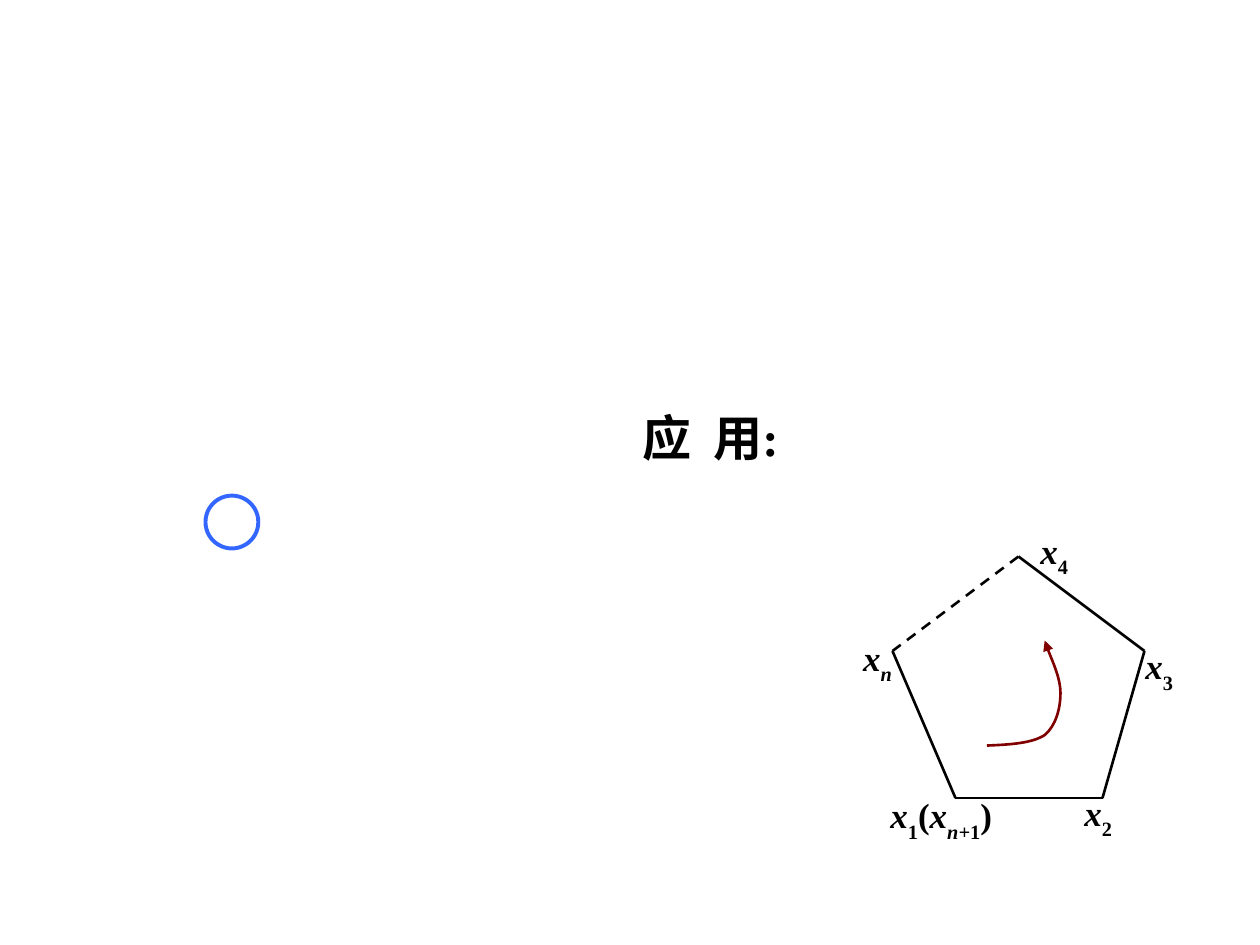
import dataclasses

import pptx
import pptx.dml.color
import pptx.enum.dml
import pptx.enum.shapes
import pptx.enum.text
import pptx.oxml
import pptx.oxml.ns
import pptx.util

Pt = pptx.util.Pt


@dataclasses.dataclass(frozen=True)
class Theme:
    font: str = "Times New Roman"
    ink: str = "000000"
    circle: str = "3366FF"
    arrow: str = "800000"
    heading_size: float = 28
    label_size: float = 20
    edge_width: float = 1.5
    circle_width: float = 2.25


THEME = Theme()

# Polygon corners, in points
X1, X2, X3, X4, XN = (546, 456), (630, 456), (654, 372), (582, 318), (510, 372)

# Start of the direction arrow, then three points for each Bezier piece
ARROW_CURVE = [
    (564, 426),
    (576.7, 425.5), (589.7, 424.8), (597, 420),
    (603.4, 414.7), (606, 404.6), (606, 396),
    (606, 387.4), (598.3, 370.8), (597, 366),
]

# Label runs: text, italic, subscript
X = ("x", True, False)
LABELS = [
    ((499.8, 450, 76, 36), [X, ("1", False, True), ("(", False, False), X,
                            ("n+", True, True), ("1", False, True),
                            (")", False, False)]),
    ((612.4, 448.6, 30.2, 36), [X, ("2", False, True)]),
    ((647.3, 365, 30.2, 36), [X, ("3", False, True)]),
    ((587.3, 298.8, 30.2, 36), [X, ("4", False, True)]),
    ((486, 360, 31, 36), [X, ("n", True, True)]),
]


def style_line(line, color, width):
    line.color.rgb = pptx.dml.color.RGBColor.from_string(color)
    line.width = Pt(width)


def add_text(page, place, runs, *, size, align=None, wrap=False, before=None):
    box = page.shapes.add_textbox(*map(Pt, place))
    frame = box.text_frame
    frame.word_wrap = wrap
    frame.auto_size = pptx.enum.text.MSO_AUTO_SIZE.SHAPE_TO_FIT_TEXT
    para = frame.paragraphs[0]
    para.alignment = align
    if before is not None:
        para.space_before = Pt(before)
    for text, italic, subscript in runs:
        span = para.add_run()
        span.text = text
        font = span.font
        font.name, font.size = THEME.font, Pt(size)
        font.bold, font.italic = True, italic
        font.color.rgb = pptx.dml.color.RGBColor.from_string(THEME.ink)
        if subscript:
            span._r.get_or_add_rPr().set("baseline", "-30000")


def add_circle(page, left, top, size):
    circle = page.shapes.add_shape(pptx.enum.shapes.MSO_SHAPE.OVAL,
                                   Pt(left), Pt(top), Pt(size), Pt(size))
    circle.shadow.inherit = False
    circle.fill.background()
    style_line(circle.line, THEME.circle, THEME.circle_width)


def add_edge(group, start, end, dashed=False):
    edge = group.shapes.add_connector(pptx.enum.shapes.MSO_CONNECTOR.STRAIGHT,
                                      *map(Pt, start + end))
    style_line(edge.line, THEME.ink, THEME.edge_width)
    if dashed:
        edge.line.dash_style = pptx.enum.dml.MSO_LINE.DASH
    edge._element.spPr.append(pptx.oxml.parse_xml(
        f"<a:effectLst {pptx.oxml.ns.nsdecls('a')}/>"))


def add_curved_arrow(page, points):
    points = [(Pt(x), Pt(y)) for x, y in points]
    builder = page.shapes.build_freeform(*points[0])
    builder.add_line_segments(points[1:], close=False)
    arrow = builder.convert_to_shape()
    arrow.shadow.inherit = False
    arrow.fill.background()
    style_line(arrow.line, THEME.arrow, THEME.edge_width)

    # Join each three straight segments into one cubic Bezier piece
    qn = pptx.oxml.ns.qn
    segments = list(arrow._element.iter(qn("a:lnTo")))
    for first, second, third in zip(*[iter(segments)] * 3):
        first.tag = qn("a:cubicBezTo")
        for extra in (second, third):
            first.append(extra[0])
            extra.getparent().remove(extra)
    arrow.line._get_or_add_ln().append(pptx.oxml.parse_xml(
        f"<a:tailEnd {pptx.oxml.ns.nsdecls('a')} type='triangle'/>"))


def main():
    deck = pptx.Presentation()
    deck.slide_width, deck.slide_height = Pt(720), Pt(540)
    page = deck.slides.add_slide(deck.slide_layouts[6])

    # Circle and heading
    add_circle(page, 117.4, 283.2, 30.2)
    add_text(page, (360, 229.3, 102.2, 41), [("应  用:", False, False)],
             size=THEME.heading_size, wrap=True, before=17.5)

    # Polygon with one dashed side
    polygon = page.shapes.add_group_shape()
    add_edge(polygon, X4, XN, dashed=True)
    for start, end in [(X1, X2), (X2, X3), (X3, X4), (XN, X1)]:
        add_edge(polygon, start, end)

    # Direction of travel and corner labels
    add_curved_arrow(page, ARROW_CURVE)
    for place, runs in LABELS:
        add_text(page, place, runs, size=THEME.label_size,
                 align=pptx.enum.text.PP_ALIGN.CENTER)

    deck.save("out.pptx")


if __name__ == "__main__":
    main()
